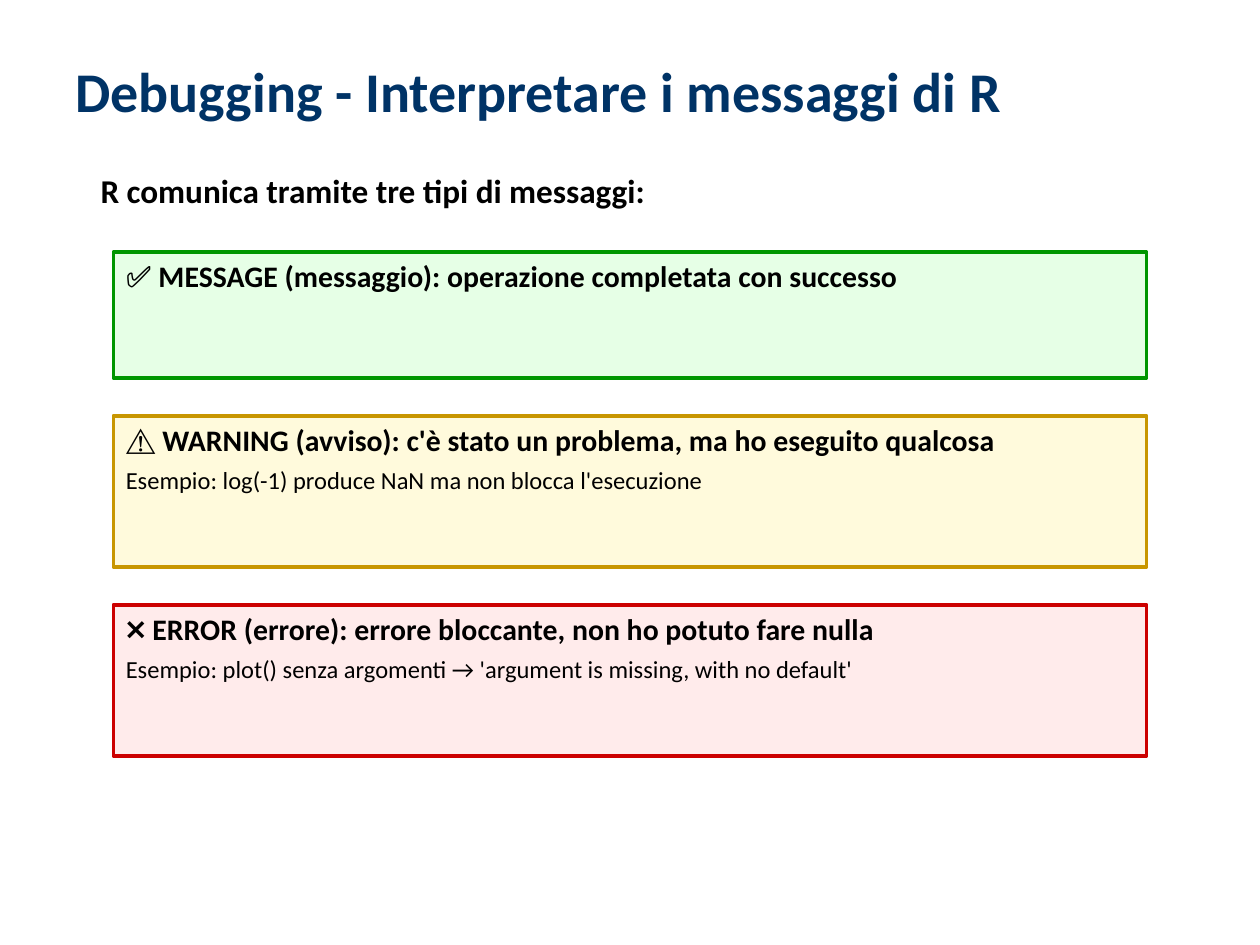
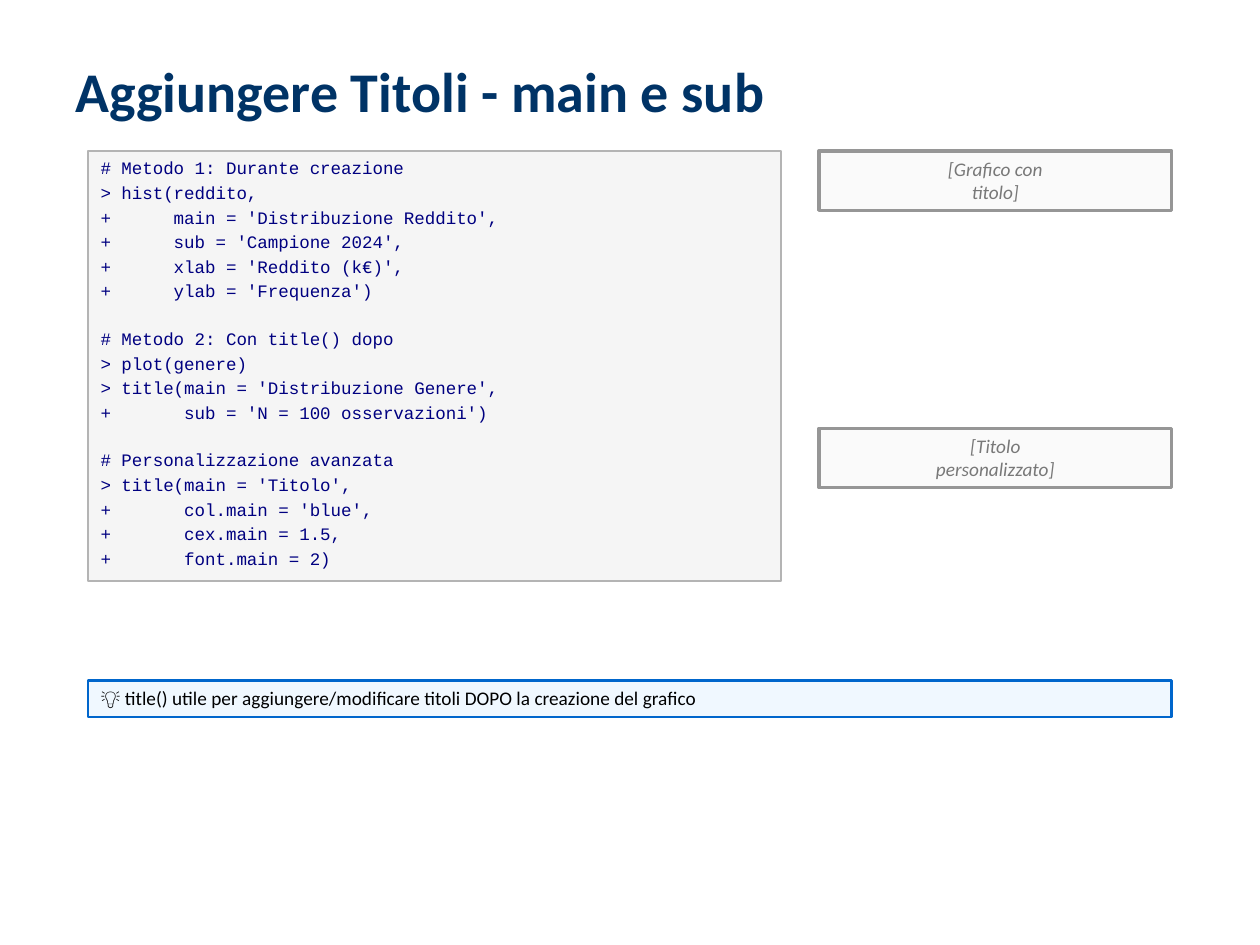
import pptx
import pptx.util
import pptx.dml.color
import pptx.enum.shapes
import pptx.enum.text

PX = 9144
LEFT = pptx.enum.text.PP_ALIGN.LEFT
CENTER = pptx.enum.text.PP_ALIGN.CENTER
BLACK, NAVY, CODE_BLUE, GREY = "000000", "003366", "000080", "787878"
SANS, MONO = "Calibri", "Courier New"

MESSAGES = [
    (200, 100, "E6FFE6", "009600",
     "✅ MESSAGE (messaggio): operazione completata con successo", None),
    (330, 120, "FFFADC", "C89600",
     "⚠️ WARNING (avviso): c'è stato un problema, ma ho eseguito qualcosa",
     "Esempio: log(-1) produce NaN ma non blocca l'esecuzione"),
    (480, 120, "FFEBEB", "CC0000",
     "❌ ERROR (errore): errore bloccante, non ho potuto fare nulla",
     "Esempio: plot() senza argomenti → 'argument is missing, with no default'"),
]

CODE = [
    """# Metodo 1: Durante creazione
> hist(reddito,
+      main = 'Distribuzione Reddito',
+      sub = 'Campione 2024',
+      xlab = 'Reddito (k€)',
+      ylab = 'Frequenza')""",
    """# Metodo 2: Con title() dopo
> plot(genere)
> title(main = 'Distribuzione Genere',
+       sub = 'N = 100 osservazioni')""",
    """# Personalizzazione avanzata
> title(main = 'Titolo',
+       col.main = 'blue',
+       cex.main = 1.5,
+       font.main = 2)""",
]


def rgb(value):
    """Turn a hex string into a colour."""
    return pptx.dml.color.RGBColor.from_string(value)


def place(x, y, w, h):
    """Turn px lengths into EMU."""
    return [pptx.util.Emu(n * PX) for n in (x, y, w, h)]


def prepare_frame(sp):
    """Wrap the text of a shape and start it at the top."""
    tf = sp.text_frame
    tf.word_wrap = True
    tf.vertical_anchor = pptx.enum.text.MSO_ANCHOR.TOP
    return tf


def add_line(tf, text, size, color=BLACK, name=SANS, bold=False,
             italic=False, align=LEFT, before=0):
    """Write one paragraph, filling the empty first one if it is free."""
    p = tf.paragraphs[0] if not tf.text else tf.add_paragraph()
    p.text = text
    p.alignment = align
    if before:
        p.space_before = pptx.util.Pt(before)
    p.font.size = pptx.util.Pt(size)
    p.font.name = name
    p.font.bold = bold
    p.font.italic = italic
    p.font.color.rgb = rgb(color)


def add_text(s, box, text, size, color=BLACK):
    """Add a bold line of text without a frame."""
    tf = prepare_frame(s.shapes.add_textbox(*place(*box)))
    add_line(tf, text, size, color, bold=True)


def add_panel(s, box, fill, line, width):
    """Add a framed rectangle and return its text frame."""
    sp = s.shapes.add_shape(pptx.enum.shapes.MSO_SHAPE.RECTANGLE, *place(*box))
    sp.shadow.inherit = False
    sp.fill.solid()
    sp.fill.fore_color.rgb = rgb(fill)
    sp.line.color.rgb = rgb(line)
    sp.line.width = pptx.util.Pt(width)
    return prepare_frame(sp)


def add_message(s, y, h, fill, line, heading, example):
    """Add a message panel with its optional example."""
    tf = add_panel(s, (90, y, 820, h), fill, line, 2)
    add_line(tf, heading, 17, bold=True)
    if example:
        add_line(tf, example, 14, before=4)


def add_code(s, box, sections):
    """Add a code panel with a gap of one line between sections."""
    tf = add_panel(s, box, "F5F5F5", "B4B4B4", 1)
    for i, section in enumerate(sections):
        for j, text in enumerate(section.split("\n")):
            before = 2 if j else 15.3 if i else 0
            add_line(tf, text, 10, CODE_BLUE, MONO, before=before)


def add_plot_placeholder(s, y, text):
    """Add a grey panel that stands for a plot."""
    tf = add_panel(s, (650, y, 280, 47), "FAFAFA", "969696", 2)
    add_line(tf, text, 11, GREY, italic=True, align=CENTER)


def add_tip(s, y, text):
    """Add a blue tip panel across the slide."""
    tf = add_panel(s, (70, y, 860, 29), "F0F8FF", "0066CC", 1.5)
    add_line(tf, text, 11)


def add_slide(prs, title):
    """Add a blank slide with the shared title."""
    s = prs.slides.add_slide(prs.slide_layouts[6])
    add_text(s, (50, 40, 900, 64), title, 32, NAVY)
    return s


def main():
    """Build both slides and save them."""
    prs = pptx.Presentation()
    prs.slide_width, prs.slide_height = place(0, 0, 1000, 750)[2:]

    s = add_slide(prs, "Debugging - Interpretare i messaggi di R")
    add_text(s, (70, 130, 860, 520), "R comunica tramite tre tipi di messaggi:", 19)
    for message in MESSAGES:
        add_message(s, *message)

    s = add_slide(prs, "Aggiungere Titoli - main e sub")
    add_code(s, (70, 120, 550, 341), CODE)
    add_plot_placeholder(s, 120, "[Grafico con\ntitolo]")
    add_plot_placeholder(s, 340, "[Titolo\npersonalizzato]")
    add_tip(s, 540, "💡 title() utile per aggiungere/modificare titoli DOPO "
                    "la creazione del grafico")

    prs.save("out.pptx")


if __name__ == "__main__":
    main()
